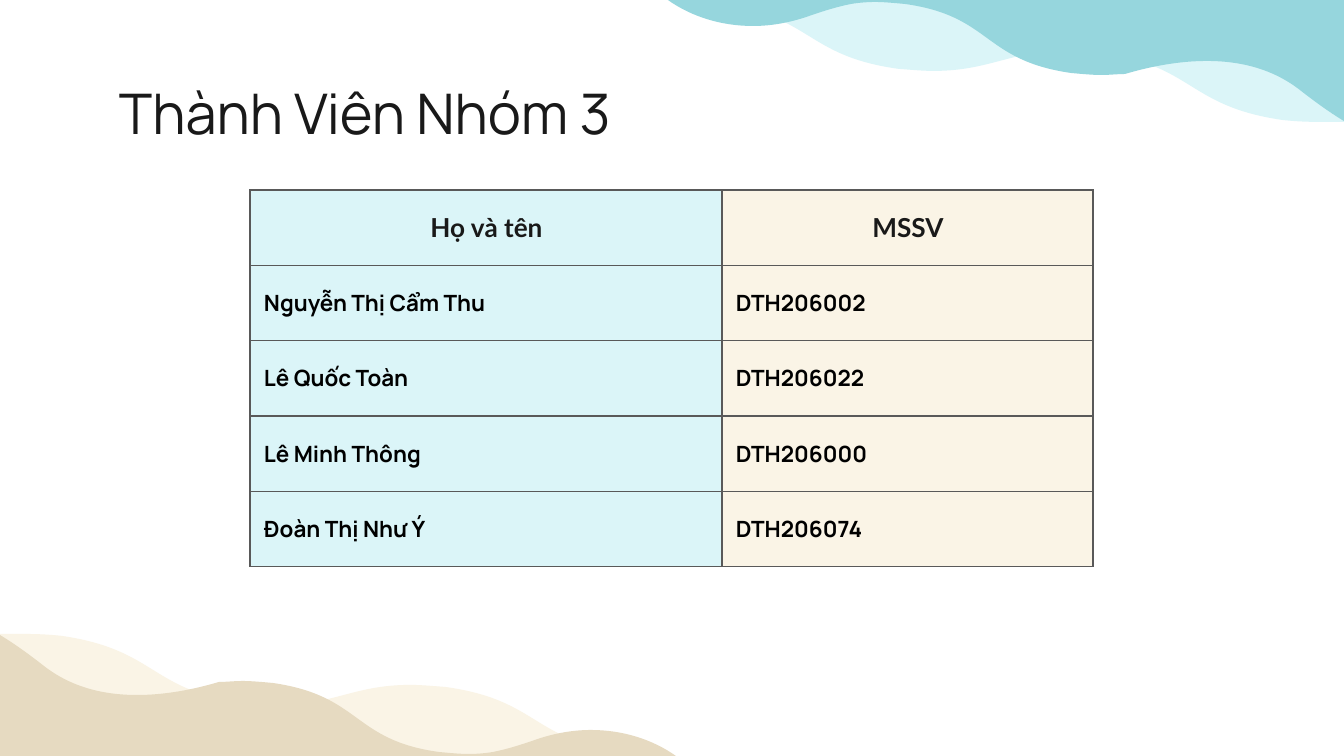
from lxml.etree import SubElement
from pptx import Presentation
from pptx.dml.color import RGBColor
from pptx.enum.text import MSO_ANCHOR, PP_ALIGN
from pptx.oxml.ns import qn
from pptx.util import Pt

SCALE = 9144000 / 1344  # EMU per px
WIDTH, HEIGHT = 1344, 756

INK = RGBColor(0x19, 0x19, 0x19)
BLACK = RGBColor(0x00, 0x00, 0x00)
PALE_BLUE = RGBColor(0xDB, 0xF5, 0xF8)
BLUE = RGBColor(0x96, 0xD6, 0xDD)
CREAM = RGBColor(0xFA, 0xF4, 0xE6)
SAND = RGBColor(0xE6, 0xDA, 0xC1)
BORDER = "595959"


def px(length):
    return round(length * SCALE)


def add_text(text_frame, text, font_name, size, color, bold=False):
    paragraph = text_frame.paragraphs[0]
    run = paragraph.add_run()
    run.text = text
    run.font.name = font_name
    run.font.size = Pt(size)
    run.font.bold = bold
    run.font.color.rgb = color
    return paragraph


presentation = Presentation()
presentation.slide_width = px(WIDTH)
presentation.slide_height = px(HEIGHT)
slide = presentation.slides.add_slide(presentation.slide_layouts[6])

# Wave outlines: a pair is a corner, six numbers are a cubic curve
BACK_WAVE = [
    (754, -121),
    (839, -106, 835, -69, 926, -56), (939, -54, 952, -54, 961, -54),
    (1016, -54, 1038, -74, 1091, -74), (1102, -74, 1114, -74, 1126, -73),
    (1223, -59, 1214, -17, 1309, -5), (1320, -4, 1329, -4, 1339, -4),
    (1340, -4, 1342, -4, 1344, -4), (1344, 122),
    (1339, 122, 1332, 122, 1325, 122), (1313, 122, 1300, 122, 1282, 120),
    (1187, 106, 1195, 66, 1099, 52), (1087, 51, 1075, 51, 1064, 51),
    (1011, 51, 989, 71, 934, 71), (923, 71, 913, 70, 899, 69),
    (804, 56, 813, 15, 716, 3), (707, 1, 696, 0, 688, 0),
    (683, 0, 677, 0, 672, 1), (672, -121),
]
FRONT_WAVE = [
    (1344, 0), (1344, 121),
    (1329, 112, 1314, 101, 1300, 90), (1273, 69, 1241, 61, 1207, 61),
    (1180, 61, 1152, 66, 1125, 74), (1118, 74, 1110, 75, 1101, 75),
    (1093, 75, 1082, 74, 1071, 73), (982, 60, 992, 16, 905, 4),
    (894, 3, 884, 2, 875, 2), (866, 2, 857, 3, 851, 4),
    (836, 7, 824, 11, 812, 15), (793, 22, 773, 26, 753, 26),
    (722, 26, 692, 17, 668, 0),
]

# Waves: top right, then the same pair turned half way round at bottom left
for outline, color, turned in [
    (BACK_WAVE, PALE_BLUE, False), (FRONT_WAVE, BLUE, False),
    (BACK_WAVE, CREAM, True), (FRONT_WAVE, SAND, True),
]:
    segments = []
    for numbers in outline:
        points = zip(numbers[::2], numbers[1::2])
        if turned:
            points = [(WIDTH - x, HEIGHT - y) for x, y in points]
        segments.append([(px(x), px(y)) for x, y in points])

    corners = [segment[-1] for segment in segments]
    builder = slide.shapes.build_freeform(*corners[0], scale=1.0)
    builder.add_line_segments(corners[1:], close=True)
    wave = builder.convert_to_shape()
    wave.shadow.inherit = False
    wave.fill.solid()
    wave.fill.fore_color.rgb = color
    wave.line.fill.background()

    # Bend the straight segments into cubic curves
    lines = list(wave._element.iter(qn("a:lnTo")))
    for line, segment in zip(lines, segments[1:]):
        if len(segment) == 3:
            curve = line.getparent().makeelement(qn("a:cubicBezTo"))
            for x, y in segment:
                SubElement(curve, qn("a:pt"), x=str(x - wave.left), y=str(y - wave.top))
            line.getparent().replace(line, curve)

# Title
title = slide.shapes.add_textbox(px(106), px(66), px(1133), px(85))
title.text_frame.word_wrap = True
title.text_frame.margin_left = title.text_frame.margin_right = px(13)
title.text_frame.margin_top = title.text_frame.margin_bottom = px(13)
add_text(title.text_frame, "Thành Viên Nhóm 3", "Manrope", 30, INK)

# Member table
MEMBERS = [
    ("Họ và tên", "MSSV"),
    ("Nguyễn Thị Cẩm Thu", "DTH206002"),
    ("Lê Quốc Toàn", "DTH206022"),
    ("Lê Minh Thông", "DTH206000"),
    ("Đoàn Thị Như Ý", "DTH206074"),
]
COLUMN_WIDTHS = [472, 371]
COLUMN_FILLS = [PALE_BLUE, CREAM]
TABLE_HEIGHT = 377

table = slide.shapes.add_table(
    len(MEMBERS), 2, px(250), px(190), px(sum(COLUMN_WIDTHS)), px(TABLE_HEIGHT)).table
table.first_row = False
table.horz_banding = False
for column, width in zip(table.columns, COLUMN_WIDTHS):
    column.width = px(width)

for row_index, member in enumerate(MEMBERS):
    table.rows[row_index].height = px(TABLE_HEIGHT / len(MEMBERS))
    for column_index, text in enumerate(member):
        cell = table.cell(row_index, column_index)
        cell.vertical_anchor = MSO_ANCHOR.MIDDLE
        cell.margin_left = px(14)
        cell.margin_right = px(13)
        cell.margin_top = cell.margin_bottom = 0
        if row_index == 0:
            paragraph = add_text(cell.text_frame, text, "Lato", 14, INK, bold=True)
            paragraph.alignment = PP_ALIGN.CENTER
        else:
            add_text(cell.text_frame, text, "Manrope", 12, BLACK, bold=True)

        # Borders come before the fill in the cell properties
        properties = cell._tc.get_or_add_tcPr()
        for side in ("lnL", "lnR", "lnT", "lnB"):
            border = SubElement(properties, qn(f"a:{side}"), w=str(Pt(0.75)))
            border_fill = SubElement(border, qn("a:solidFill"))
            SubElement(border_fill, qn("a:srgbClr"), val=BORDER)
        cell.fill.solid()
        cell.fill.fore_color.rgb = COLUMN_FILLS[column_index]

presentation.save("out.pptx")
